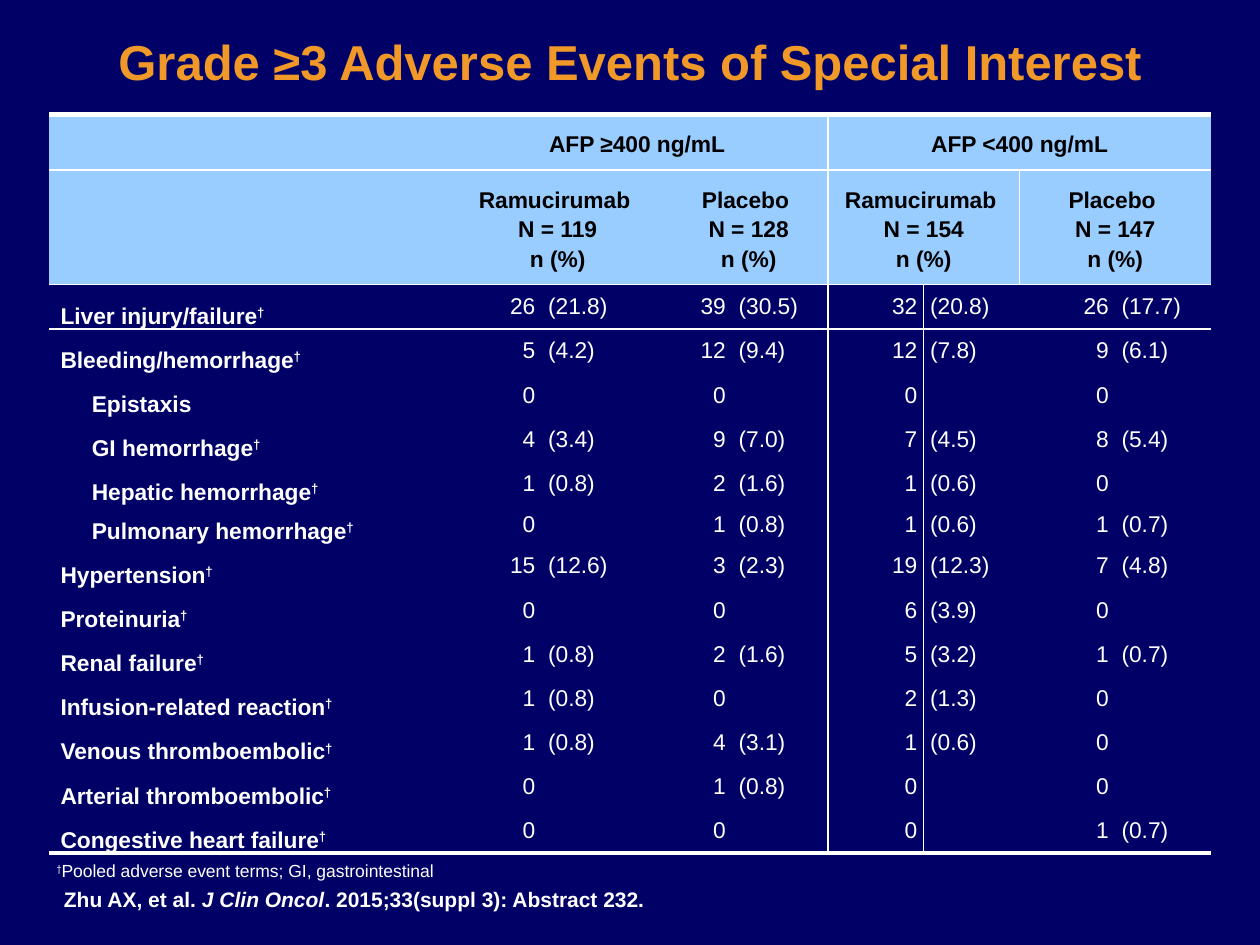
from lxml.etree import SubElement
from pptx import Presentation
from pptx.dml.color import RGBColor
from pptx.enum.text import MSO_ANCHOR, PP_ALIGN
from pptx.oxml.ns import qn
from pptx.util import Cm, Pt

NAVY, LIGHT_BLUE, ORANGE = "000066", "99CCFF", "F09828"
WHITE, BLACK = "FFFFFF", "000000"
NO_STYLE_NO_GRID = "{2D5ABB26-0587-4C30-8999-92F81FD0307C}"

TITLE = "Grade ≥3 Adverse Events of Special Interest"
AFP_GROUPS = ["AFP ≥400 ng/mL", "AFP <400 ng/mL"]
ARMS = [("Ramucirumab", 119), ("Placebo", 128), ("Ramucirumab", 154), ("Placebo", 147)]
# event, indent level, count and percentage in each arm
EVENTS = [
    ("Liver injury/failure†", 0, ["26 (21.8)", "39 (30.5)", "32 (20.8)", "26 (17.7)"]),
    ("Bleeding/hemorrhage†", 0, ["5 (4.2)", "12 (9.4)", "12 (7.8)", "9 (6.1)"]),
    ("Epistaxis", 1, ["0", "0", "0", "0"]),
    ("GI hemorrhage†", 1, ["4 (3.4)", "9 (7.0)", "7 (4.5)", "8 (5.4)"]),
    ("Hepatic hemorrhage†", 1, ["1 (0.8)", "2 (1.6)", "1 (0.6)", "0"]),
    ("Pulmonary hemorrhage†", 1, ["0", "1 (0.8)", "1 (0.6)", "1 (0.7)"]),
    ("Hypertension†", 0, ["15 (12.6)", "3 (2.3)", "19 (12.3)", "7 (4.8)"]),
    ("Proteinuria†", 0, ["0", "0", "6 (3.9)", "0"]),
    ("Renal failure†", 0, ["1 (0.8)", "2 (1.6)", "5 (3.2)", "1 (0.7)"]),
    ("Infusion-related reaction†", 0, ["1 (0.8)", "0", "2 (1.3)", "0"]),
    ("Venous thromboembolic†", 0, ["1 (0.8)", "4 (3.1)", "1 (0.6)", "0"]),
    ("Arterial thromboembolic†", 0, ["0", "1 (0.8)", "0", "0"]),
    ("Congestive heart failure†", 0, ["0", "0", "0", "1 (0.7)"]),
]
FOOTNOTE = ["†", "Pooled adverse event terms; GI, gastrointestinal"]
REFERENCE = ["Zhu AX, et al. ", "J Clin Oncol", ". 2015;33(suppl 3): Abstract 232."]

COLUMN_WIDTHS = [8, 1.93, 2.57, 1.27] + [1.93] * 5
HEADER_HEIGHTS = [1.12, 2.31]
EVENT_HEIGHTS = [0.74 if label.startswith("Pulmonary") else 0.89 for label, _, _ in EVENTS]
ROW_HEIGHTS = HEADER_HEIGHTS + EVENT_HEIGHTS
LAST_ROW = len(ROW_HEIGHTS) - 1

HEADER_MARGINS = (0.03, 0.03, 0.03, 0)
LABEL_MARGINS = (0.23, 0.03, 0.03, 0)
COUNT_MARGINS = (0, 0, 0.13, 0)
PERCENT_MARGINS = (0.13, 0, 0, 0)


def color(hex_string):
    return RGBColor.from_string(hex_string)


def add_run(paragraph, text, size, hex_string, bold=False, italic=False, name="Arial"):
    run = paragraph.add_run()
    run.text = text
    format_font(run.font, size, hex_string, bold, italic, name)
    if text == "†":
        run.font._element.set("baseline", "30000")
    return run


def format_font(font, size, hex_string, bold=False, italic=False, name="Arial"):
    font.size = Pt(size)
    font.bold = bold
    font.italic = italic
    font.name = name
    font.color.rgb = color(hex_string)


def add_borders(cell, row, last_column):
    """Add the rules of a cell; last_column is the rightmost column it covers."""
    column = last_column - (cell.span_width - 1 if cell.is_merge_origin else 0)
    is_header = row < len(HEADER_HEIGHTS)
    widths = {
        "lnL": 1 if column == 5 else 0,
        "lnR": 1 if last_column == 4 else 0.75 if column == 5 and not is_header else 0,
        "lnT": 3 if row == 0 else 1 if row <= len(HEADER_HEIGHTS) else 0,
        "lnB": 3 if row == LAST_ROW else 1 if is_header else 0,
    }
    properties = cell._tc.get_or_add_tcPr()
    for side, width in widths.items():
        if width:
            line = SubElement(properties, qn(f"a:{side}"), w=str(Pt(width)))
            fill = SubElement(line, qn("a:solidFill"))
            SubElement(fill, qn("a:srgbClr"), val=WHITE)


def set_margins(cell, margins):
    cell.margin_left, cell.margin_top, cell.margin_right, cell.margin_bottom = map(Cm, margins)


def fill_cell(cell, text, margins, alignment, bold=False):
    set_margins(cell, margins)
    paragraph = cell.text_frame.paragraphs[0]
    paragraph.alignment = alignment
    add_run(paragraph, text, 13, WHITE, bold)
    return paragraph


def fill_header(cell, text):
    set_margins(cell, HEADER_MARGINS)
    paragraph = cell.text_frame.paragraphs[0]
    paragraph.text = text
    paragraph.alignment = PP_ALIGN.CENTER
    paragraph.line_spacing = 1.15
    for run in paragraph.runs:
        format_font(run.font, 13, BLACK, bold=True)


def add_title(slide):
    title = slide.shapes.title
    title.left, title.top, title.width, title.height = Cm(0.89), Cm(0.03), Cm(23.62), Cm(2.54)
    title.text_frame.vertical_anchor = MSO_ANCHOR.MIDDLE
    paragraph = title.text_frame.paragraphs[0]
    paragraph.alignment = PP_ALIGN.CENTER
    paragraph.line_spacing = 0.9
    run = add_run(paragraph, TITLE, 28, ORANGE, bold=True)
    properties = run.font._element
    effects = SubElement(properties, qn("a:effectLst"))
    shadow = SubElement(effects, qn("a:outerShdw"), dist=str(Pt(2)), dir="2700000")
    SubElement(shadow, qn("a:srgbClr"), val=BLACK)
    properties.find(qn("a:solidFill")).addnext(effects)


def add_event_table(slide):
    frame = slide.shapes.add_table(
        len(ROW_HEIGHTS), len(COLUMN_WIDTHS), Cm(0.99), Cm(2.31),
        Cm(sum(COLUMN_WIDTHS)), Cm(sum(ROW_HEIGHTS)))
    table = frame.table
    table.first_row = table.horz_banding = False
    table._tbl.tblPr.find(qn("a:tableStyleId")).text = NO_STYLE_NO_GRID
    for column, width in zip(table.columns, COLUMN_WIDTHS):
        column.width = Cm(width)
    for row, height in zip(table.rows, ROW_HEIGHTS):
        row.height = Cm(height)

    for index, text in enumerate(AFP_GROUPS):
        first = 1 + 4 * index
        table.cell(0, first).merge(table.cell(0, first + 3))
        fill_header(table.cell(0, first), text)
    for index, (arm, patients) in enumerate(ARMS):
        first = 1 + 2 * index
        table.cell(1, first).merge(table.cell(1, first + 1))
        fill_header(table.cell(1, first), f"{arm} \vN = {patients}\vn (%)")

    for row in range(len(ROW_HEIGHTS)):
        for column in range(len(COLUMN_WIDTHS)):
            cell = table.cell(row, column)
            span = cell.span_width if cell.is_merge_origin else 1
            cell.vertical_anchor = MSO_ANCHOR.MIDDLE
            add_borders(cell, row, column + span - 1)
            if row < len(HEADER_HEIGHTS):
                cell.fill.solid()
                cell.fill.fore_color.rgb = color(LIGHT_BLUE)
            else:
                set_margins(cell, PERCENT_MARGINS)
                cell.fill.background()

    for row, (label, level, results) in enumerate(EVENTS, len(HEADER_HEIGHTS)):
        label_cell = table.cell(row, 0)
        label_cell.vertical_anchor = MSO_ANCHOR.BOTTOM
        paragraph = fill_cell(label_cell, label.rstrip("†"), LABEL_MARGINS, PP_ALIGN.LEFT, True)
        if label.endswith("†"):
            add_run(paragraph, "†", 13, WHITE, bold=True)
        if level:
            paragraph._p.get_or_add_pPr().set("marL", str(Cm(0.63)))
        for index, result in enumerate(results):
            count, *percent = result.split()
            fill_cell(table.cell(row, 1 + 2 * index), count, COUNT_MARGINS, PP_ALIGN.RIGHT)
            if percent:
                fill_cell(table.cell(row, 2 + 2 * index), percent[0], PERCENT_MARGINS, PP_ALIGN.LEFT)


def add_text_box(slide, left, top, width, height, anchor):
    box = slide.shapes.add_textbox(Cm(left), Cm(top), Cm(width), Cm(height))
    box.text_frame.word_wrap = True
    box.text_frame.vertical_anchor = anchor
    return box.text_frame.paragraphs[0]


def main():
    presentation = Presentation()
    presentation.slide_width, presentation.slide_height = Cm(25.4), Cm(19.05)
    slide = presentation.slides.add_slide(presentation.slide_layouts[5])
    slide.background.fill.solid()
    slide.background.fill.fore_color.rgb = color(NAVY)

    add_title(slide)
    add_event_table(slide)
    footnote = add_text_box(slide, 0.89, 17.2, 25.3, 0.69, MSO_ANCHOR.MIDDLE)
    for text, name in zip(FOOTNOTE, ["Calibri", "Arial"]):
        add_run(footnote, text, 10, WHITE, name=name)
    reference = add_text_box(slide, 1.04, 17.75, 16, 0.76, MSO_ANCHOR.TOP)
    for text in REFERENCE:
        add_run(reference, text, 12, WHITE, bold=True, italic=text == "J Clin Oncol")
    presentation.save("out.pptx")


if __name__ == "__main__":
    main()
